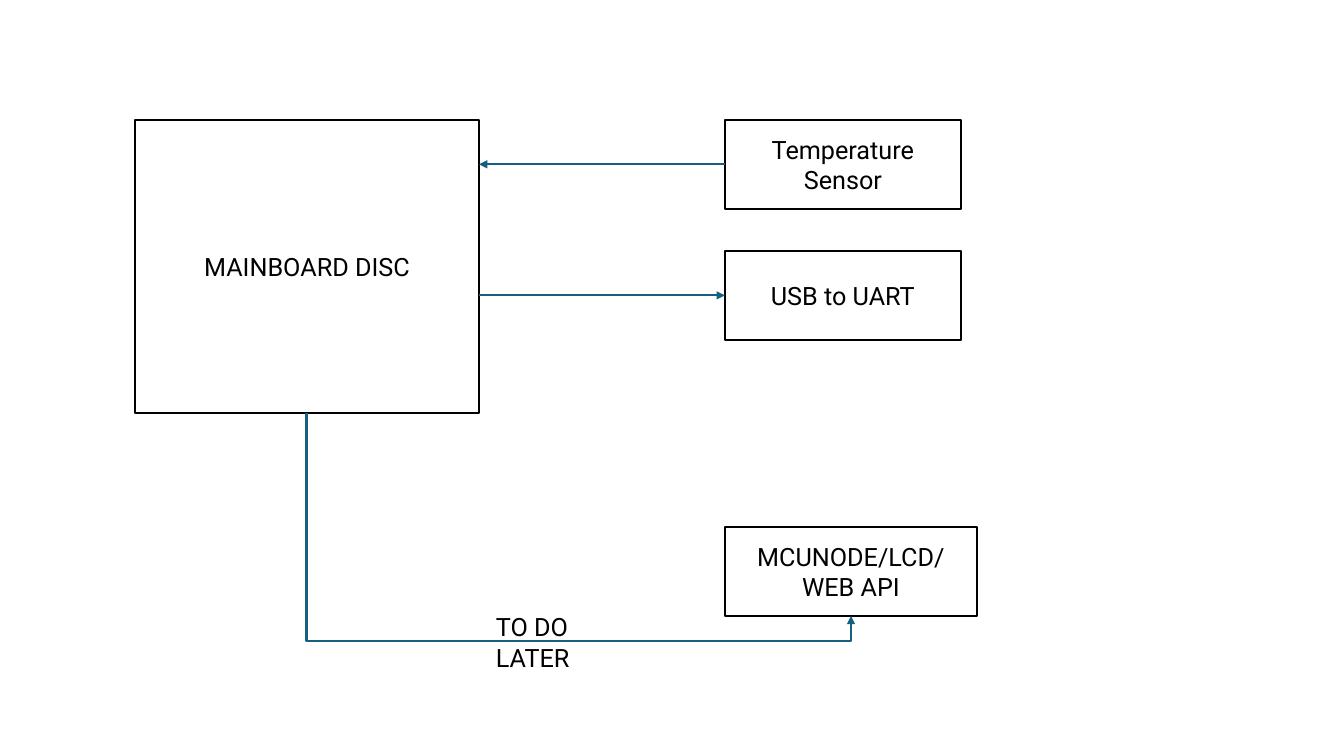
from lxml.etree import SubElement
from pptx import Presentation
from pptx.dml.color import RGBColor
from pptx.enum.shapes import MSO_CONNECTOR, MSO_SHAPE
from pptx.enum.text import MSO_ANCHOR, PP_ALIGN
from pptx.oxml.ns import qn
from pptx.util import Inches, Pt

BLACK, WHITE, TEAL = "000000", "FFFFFF", "156082"
LEFT_SIDE = 1


def color(value):
    return RGBColor.from_string(value)


def write(shape, text, alignment):
    paragraph = shape.text_frame.paragraphs[0]
    paragraph.alignment = alignment
    run = paragraph.add_run()
    run.text = text
    run.font.name = "Roboto"
    run.font.size = Pt(18)
    run.font.color.rgb = color(BLACK)


def add_block(slide, text, left, top, width, height):
    block = slide.shapes.add_shape(
        MSO_SHAPE.RECTANGLE, Inches(left), Inches(top), Inches(width), Inches(height))
    block.shadow.inherit = False
    block.fill.solid()
    block.fill.fore_color.rgb = color(WHITE)
    block.line.color.rgb = color(BLACK)
    block.line.width = Pt(1.5)
    block.text_frame.word_wrap = True
    block.text_frame.vertical_anchor = MSO_ANCHOR.MIDDLE
    write(block, text, PP_ALIGN.CENTER)
    return block


def add_label(slide, text, left, top, width, height):
    label = slide.shapes.add_textbox(
        Inches(left), Inches(top), Inches(width), Inches(height))
    label.text_frame.word_wrap = True
    write(label, text, PP_ALIGN.LEFT)


def add_arrow(slide, kind, start, end):
    arrow = slide.shapes.add_connector(
        kind, *(Inches(length) for length in (*start, *end)))
    arrow.line.color.rgb = color(TEAL)
    arrow.line.width = Pt(1.5)
    properties = arrow.element.spPr
    SubElement(properties.find(qn("a:ln")), qn("a:tailEnd"), type="triangle")
    SubElement(properties, qn("a:effectLst"))
    return arrow


def add_under_arrow(slide, start, end, drop):
    """Elbow that runs the given drop below its target and comes up into it."""
    # The elbow is laid out sideways about its centre, then turned by 270 degrees
    center_x, center_y = (start[0] + end[0]) / 2, (start[1] + end[1]) / 2
    half_width, half_height = (end[1] - start[1]) / 2, (end[0] - start[0]) / 2
    arrow = add_arrow(slide, MSO_CONNECTOR.ELBOW,
                      (center_x + half_width, center_y - half_height),
                      (center_x - half_width, center_y + half_height))
    properties = arrow.element.spPr
    properties.find(qn("a:xfrm")).set("rot", str(270 * 60000))
    geometry = properties.find(qn("a:prstGeom"))
    adjustments = geometry.find(qn("a:avLst"))
    if adjustments is None:
        adjustments = SubElement(geometry, qn("a:avLst"))
    bend = 1 + drop / (end[1] - start[1])
    SubElement(adjustments, qn("a:gd"), name="adj1", fmla=f"val {round(bend * 100000)}")


def main():
    presentation = Presentation()
    presentation.slide_width = Inches(13.33)
    presentation.slide_height = Inches(7.5)
    slide = presentation.slides.add_slide(presentation.slide_layouts[6])

    # Board and its peripherals
    add_block(slide, "MAINBOARD DISC", 1.34, 1.19, 3.41, 2.91)
    sensor = add_block(slide, "Temperature Sensor", 7.19, 1.19, 2.34, 0.88)
    uart = add_block(slide, "USB to UART", 7.19, 2.49, 2.34, 0.88)
    add_block(slide, "MCUNODE/LCD/WEB API", 7.19, 5.23, 2.5, 0.88)

    # Data flow
    sensor_arrow = add_arrow(slide, MSO_CONNECTOR.STRAIGHT, (7.19, 1.63), (4.75, 1.63))
    sensor_arrow.begin_connect(sensor, LEFT_SIDE)
    uart_arrow = add_arrow(slide, MSO_CONNECTOR.STRAIGHT, (4.75, 2.93), (7.19, 2.93))
    uart_arrow.end_connect(uart, LEFT_SIDE)

    # Planned extension
    add_under_arrow(slide, (3.04, 4.1), (8.44, 6.11), 0.25)
    add_label(slide, "TO DO LATER", 4.82, 6.02, 1.64, 0.4)

    presentation.save("out.pptx")


if __name__ == "__main__":
    main()
